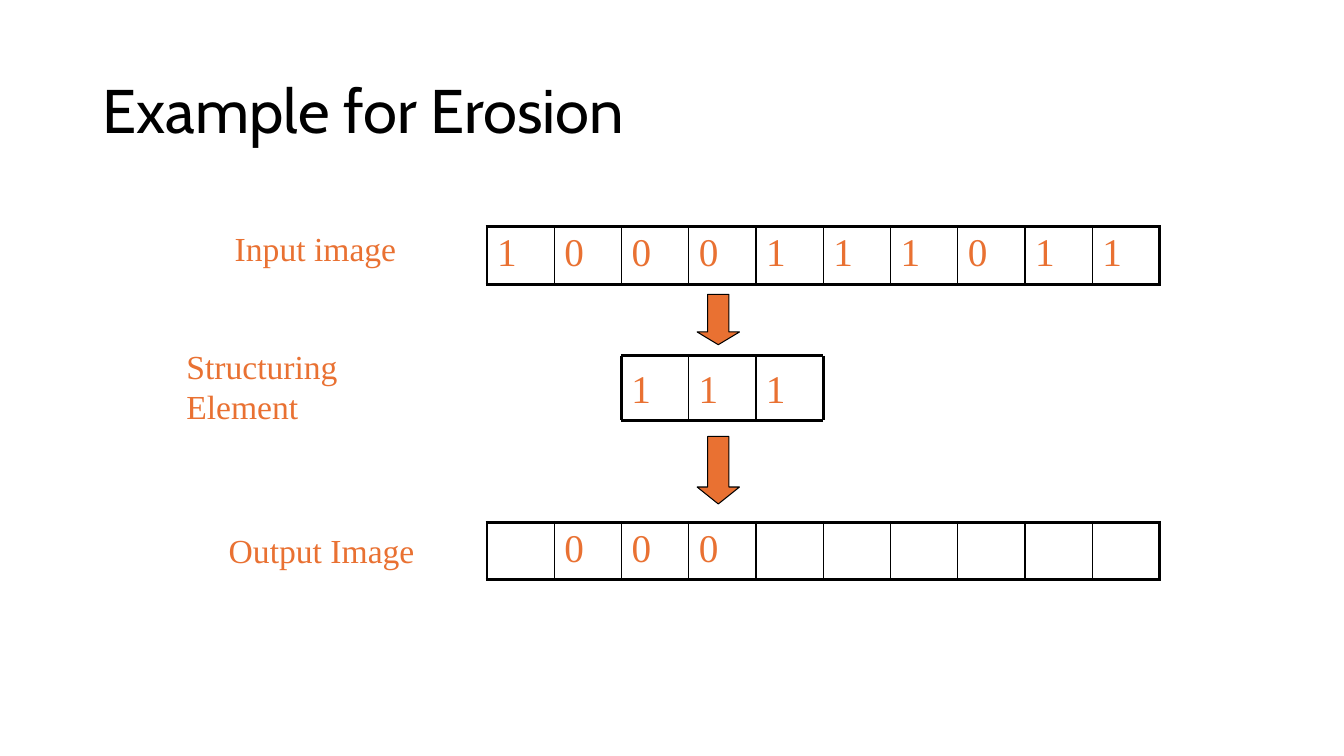
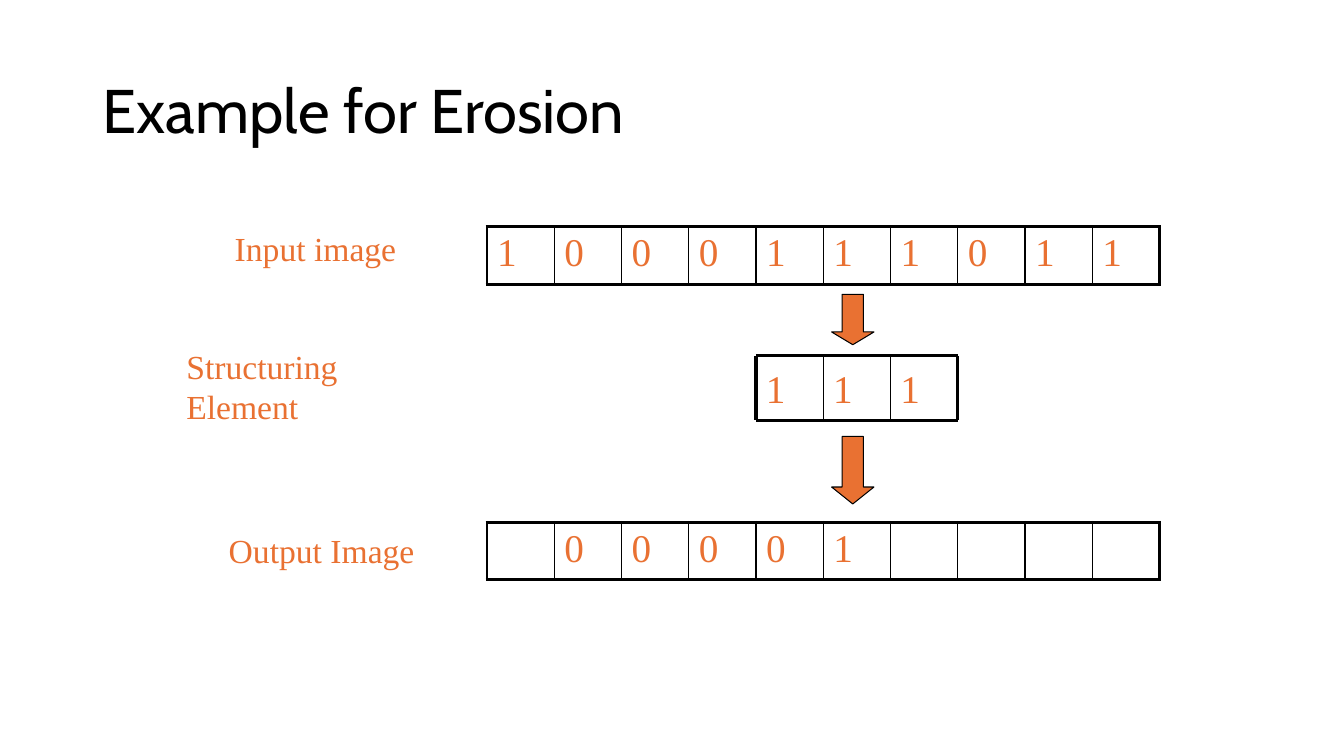
from dataclasses import dataclass

from lxml import etree
from pptx import Presentation
from pptx.dml.color import RGBColor
from pptx.enum import shapes, text
from pptx.oxml import ns
from pptx.util import Inches, Pt


@dataclass(frozen=True)
class Theme:
    ink: str = "000000"
    accent: str = "E97132"
    title_font: str = "Cabin"
    body_font: str = "Times New Roman"
    title_size: float = 44
    label_size: float = 24
    digit_size: float = 28
    thick: float = 2.25
    thin: float = 1
    arrow_line: float = 0.75


THEME = Theme()
GRID_LEFT = 4.83
GRID_WIDTH = 6.67
PIXEL_COUNT = 10
CELL = GRID_WIDTH / PIXEL_COUNT
ROW_HEIGHT = 0.57
ELEMENT = "111"
ELEMENT_TOP = 3.53
ELEMENT_HEIGHT = 0.64
INPUT_TOP = 2.25
OUTPUT_TOP = 5.18
INPUT_PIXELS = "1000111011"
LABELS = [
    ("Input image", 2.23, 2.21, 1.8),
    ("Structuring Element", 1.75, 3.58, 2.89),
    ("Output Image", 2.17, 5.21, 2.04),
]
ARROWS = [(2.92, 0.5, 0.3), (4.33, 0.67, 0.4)]
STEPS = [(2, " 000"), (4, " 00001")]


def style(paragraph, size, color=THEME.accent, font=THEME.body_font):
    paragraph.font.size = Pt(size)
    paragraph.font.name = font
    paragraph.font.color.rgb = RGBColor.from_string(color)


def add_title(slide, wording):
    title = slide.shapes.title
    title.left, title.top = Inches(0.92), Inches(0.4)
    title.width, title.height = Inches(11.5), Inches(1.45)
    title.text_frame.text = wording
    title.text_frame.vertical_anchor = text.MSO_ANCHOR.MIDDLE
    paragraph = title.text_frame.paragraphs[0]
    paragraph.alignment = text.PP_ALIGN.LEFT
    paragraph.line_spacing = 0.9
    style(paragraph, THEME.title_size, THEME.ink, THEME.title_font)


def add_text(container, wording, left, top, width, height, size, wrap=True):
    box = container.add_textbox(
        Inches(left), Inches(top), Inches(width), Inches(height)
    )
    frame = box.text_frame
    frame.word_wrap = wrap
    frame.vertical_anchor = text.MSO_ANCHOR.MIDDLE
    frame.text = wording
    style(frame.paragraphs[0], size)


def set_border(cell, side, width):
    properties = cell._tc.get_or_add_tcPr()
    line = etree.SubElement(properties, ns.qn(f"a:ln{side}"), w=str(Pt(width)))
    fill = etree.SubElement(line, ns.qn("a:solidFill"))
    etree.SubElement(fill, ns.qn("a:srgbClr"), val=THEME.ink)


def add_pixel_row(slide, pixels, top):
    table = slide.shapes.add_table(
        1, PIXEL_COUNT, Inches(GRID_LEFT), Inches(top),
        Inches(GRID_WIDTH), Inches(ROW_HEIGHT),
    ).table
    table.first_row = table.horz_banding = False
    for index, pixel in enumerate(pixels.ljust(PIXEL_COUNT)):
        cell = table.cell(0, index)
        set_border(cell, "L", THEME.thick if index == 0 else THEME.thin)
        set_border(cell, "R", THEME.thick if index == PIXEL_COUNT - 1 else THEME.thin)
        set_border(cell, "T", THEME.thick)
        set_border(cell, "B", THEME.thick)
        cell.fill.background()
        cell.text = pixel.strip()
        style(cell.text_frame.paragraphs[0], THEME.digit_size)


def add_line(container, start, end, width):
    line = container.add_connector(
        shapes.MSO_CONNECTOR.STRAIGHT, *map(Inches, start + end)
    )
    line.line.color.rgb = RGBColor.from_string(THEME.ink)
    line.line.width = Pt(width)
    etree.SubElement(line._element.spPr, ns.qn("a:effectLst"))


def add_structuring_element(slide, left):
    group = slide.shapes.add_group_shape().shapes
    right = left + len(ELEMENT) * CELL
    bottom = ELEMENT_TOP + ELEMENT_HEIGHT
    for index, digit in enumerate(ELEMENT):
        add_text(group, digit, left + index * CELL, ELEMENT_TOP,
                 CELL, ELEMENT_HEIGHT, THEME.digit_size)
    for y in (ELEMENT_TOP, bottom):
        add_line(group, (left, y), (right, y), THEME.thick)
    for index in range(len(ELEMENT) + 1):
        x = left + index * CELL
        width = THEME.thick if index in (0, len(ELEMENT)) else THEME.thin
        add_line(group, (x, ELEMENT_TOP), (x, bottom), width)


def add_arrow(slide, left, top, height, head):
    arrow = slide.shapes.add_shape(
        shapes.MSO_SHAPE.DOWN_ARROW,
        Inches(left), Inches(top), Inches(0.42), Inches(height),
    )
    arrow.adjustments[0] = 0.5
    arrow.adjustments[1] = head
    arrow.shadow.inherit = False
    arrow.fill.solid()
    arrow.fill.fore_color.rgb = RGBColor.from_string(THEME.accent)
    arrow.line.color.rgb = RGBColor.from_string(THEME.ink)
    arrow.line.width = Pt(THEME.arrow_line)


def add_erosion_slide(presentation, position, output_pixels):
    slide = presentation.slides.add_slide(presentation.slide_layouts[5])
    add_title(slide, "Example for Erosion")
    add_pixel_row(slide, INPUT_PIXELS, INPUT_TOP)
    add_pixel_row(slide, output_pixels, OUTPUT_TOP)
    for wording, left, top, width in LABELS:
        add_text(slide.shapes, wording, left, top, width, 0.5,
                 THEME.label_size, wrap=False)
    element_left = GRID_LEFT + position * CELL
    add_structuring_element(slide, element_left)
    for top, height, head in ARROWS:
        add_arrow(slide, element_left + 0.75, top, height, head)


def main():
    presentation = Presentation()
    presentation.slide_width = Inches(13.33)
    presentation.slide_height = Inches(7.5)
    for position, output_pixels in STEPS:
        add_erosion_slide(presentation, position, output_pixels)
    presentation.save("out.pptx")


if __name__ == "__main__":
    main()
